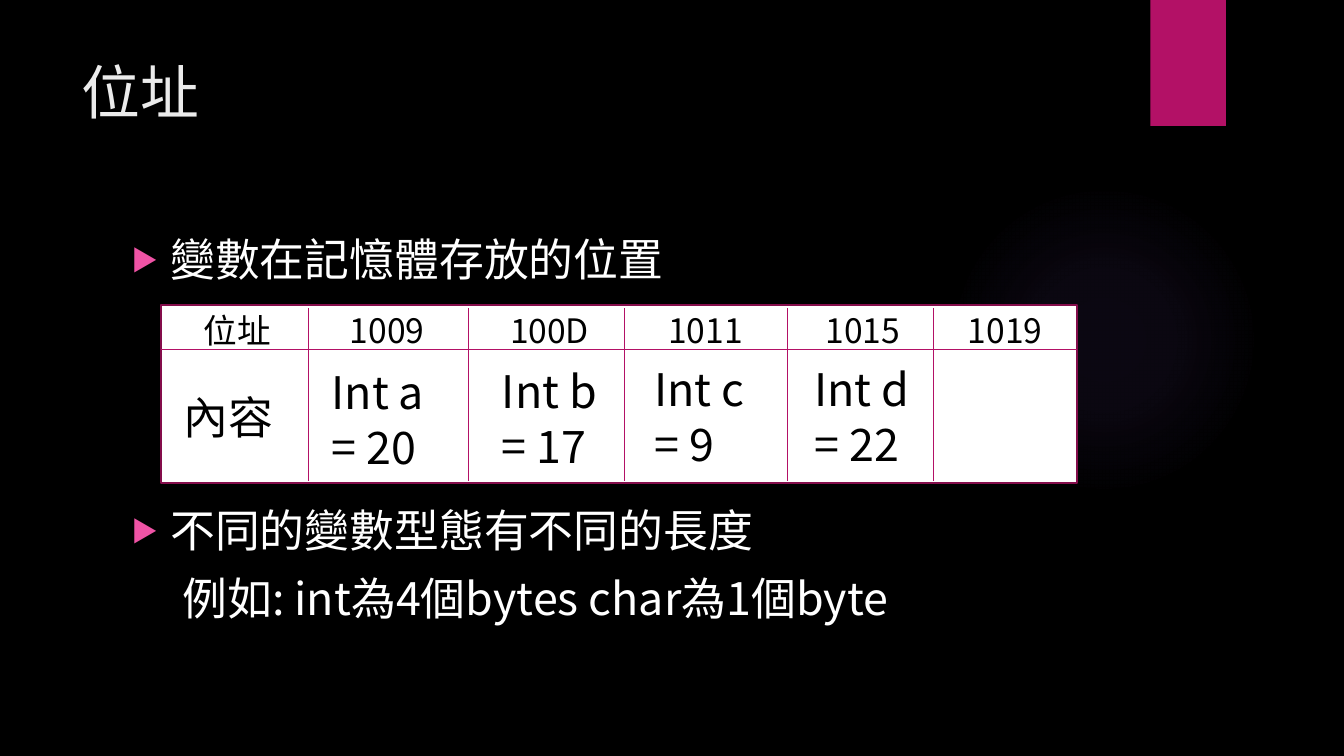
from lxml import etree
from pptx import Presentation
from pptx import util as u
from pptx.dml.color import RGBColor
from pptx.enum import shapes
from pptx.oxml import ns, parse_xml

COLORS = {
    "night": "000000", "magenta": "B31166", "wine": "840D4B", "bullet": "EF53A5",
    "title": "EBEBEB", "white": "FFFFFF", "ink": "000000", "glow": "9B6BF2",
}
FONT = "Noto Sans CJK SC"
DRAWING = ns.nsdecls("a")


def write(paragraph, words, size, color):
    run = paragraph.add_run()
    run.text = words
    for key, value in {"name": FONT, "size": u.Pt(size)}.items():
        setattr(run.font, key, value)
    run.font.color.rgb = RGBColor.from_string(COLORS[color])
    etree.SubElement(run.font._element, ns.qn("a:ea"), typeface=FONT)


def text_area(left, top, width, height):
    frame = slide.shapes.add_textbox(*map(u.Inches, (left, top, width, height))).text_frame
    frame.word_wrap = True
    return frame


deck = Presentation()
deck.slide_width, deck.slide_height = u.Inches(13.33), u.Inches(7.5)
slide = deck.slides.add_slide(deck.slide_layouts[6])
slide.background.fill.solid()
slide.background.fill.fore_color.rgb = RGBColor.from_string(COLORS["night"])

glow = slide.shapes.add_shape(
    shapes.MSO_SHAPE.OVAL, *map(u.Inches, (9.41, 1.83, 3.08, 3.08)))
glow.shadow.inherit = False
glow.line.fill.background()
stops = "".join(
    f'<a:gs pos="{place * 1000}"><a:srgbClr val="{COLORS["glow"]}">'
    f'<a:alpha val="{alpha * 1000}"/></a:srgbClr></a:gs>'
    for place, alpha in ((0, 7), (36, 6), (69, 0), (100, 0)))
glow._element.spPr.find(ns.qn("a:prstGeom")).addnext(parse_xml(
    f'<a:gradFill {DRAWING}><a:gsLst>{stops}</a:gsLst><a:path path="circle">'
    '<a:fillToRect l="50000" t="50000" r="50000" b="50000"/></a:path></a:gradFill>'))

ribbon = slide.shapes.add_shape(
    shapes.MSO_SHAPE.RECTANGLE, *map(u.Inches, (11.41, 0, 0.75, 1.25)))
ribbon.shadow.inherit = False
ribbon.line.fill.background()
ribbon.fill.solid()
ribbon.fill.fore_color.rgb = RGBColor.from_string(COLORS["magenta"])

title = text_area(0.71, 0.5, 10.29, 1.53)
write(title.paragraphs[0], "位址", 42, "title")

body = text_area(1.21, 2.25, 9.78, 4.59)
points = [
    ("變數在記憶體存放的位置", 0, True),
    ("不同的變數型態有不同的長度", 155, True),
    ("例如: int為4個bytes char為1個byte", 10, False),
]
for number, (words, space, bulleted) in enumerate(points):
    point = body.add_paragraph() if number else body.paragraphs[0]
    point.space_before = u.Pt(space)
    write(point, words, 32, "white")
    layout = point._p.get_or_add_pPr()
    layout.set("marL", str(u.Inches(0.38 if bulleted else 0.5)))
    if bulleted:
        layout.set("indent", str(u.Inches(-0.38)))
        for bullet in (
            f'<a:buClr {DRAWING}><a:srgbClr val="{COLORS["bullet"]}"/></a:buClr>',
            f'<a:buSzPct {DRAWING} val="60000"/>',
            f'<a:buFont {DRAWING} typeface="{FONT}"/>',
            f'<a:buChar {DRAWING} char="▶"/>',
        ):
            layout.append(parse_xml(bullet))

memory = slide.shapes.add_shape(
    shapes.MSO_SHAPE.RECTANGLE, *map(u.Inches, (1.6, 3.03, 9.08, 1.76)))
memory.shadow.inherit = False
memory.fill.solid()
memory.fill.fore_color.rgb = RGBColor.from_string(COLORS["white"])
memory.line.color.rgb = RGBColor.from_string(COLORS["wine"])
memory.line.width = u.Pt(1.5)

row_divider = (1.6, 3.47, 10.68, 3.47)
column_dividers = [(x, 3.06, x, 4.77) for x in (3.06, 4.65, 6.19, 7.81, 9.26)]
for ends in (row_divider, *column_dividers):
    divider = slide.shapes.add_connector(
        shapes.MSO_CONNECTOR.STRAIGHT, *map(u.Inches, ends))
    divider.line.color.rgb = RGBColor.from_string(COLORS["magenta"])
    divider.line.width = u.Pt(0.75)
    etree.SubElement(divider._element.spPr, ns.qn("a:effectLst"))

addresses = [
    ("位址", 1.92), ("1009", 3.37), ("100D", 4.96),
    ("1011", 6.53), ("1015", 8.09), ("1019", 9.5),
]
for address, left in addresses:
    write(text_area(left, 3.03, 1.12, 0.5).paragraphs[0], address, 24, "ink")

contents = [
    ("內容", 1.72, 3.81, 0.64),
    ("Int a = 20", 3.19, 3.56, 1.18),
    ("Int b = 17", 4.88, 3.55, 1.18),
    ("Int c = 9", 6.39, 3.53, 1.18),
    ("Int d = 22", 7.98, 3.53, 1.18),
]
for content, left, top, height in contents:
    value = text_area(left, top, 1.24, height).paragraphs[0]
    value.line_spacing = u.Pt(39)
    write(value, content, 32, "ink")

deck.save("out.pptx")
